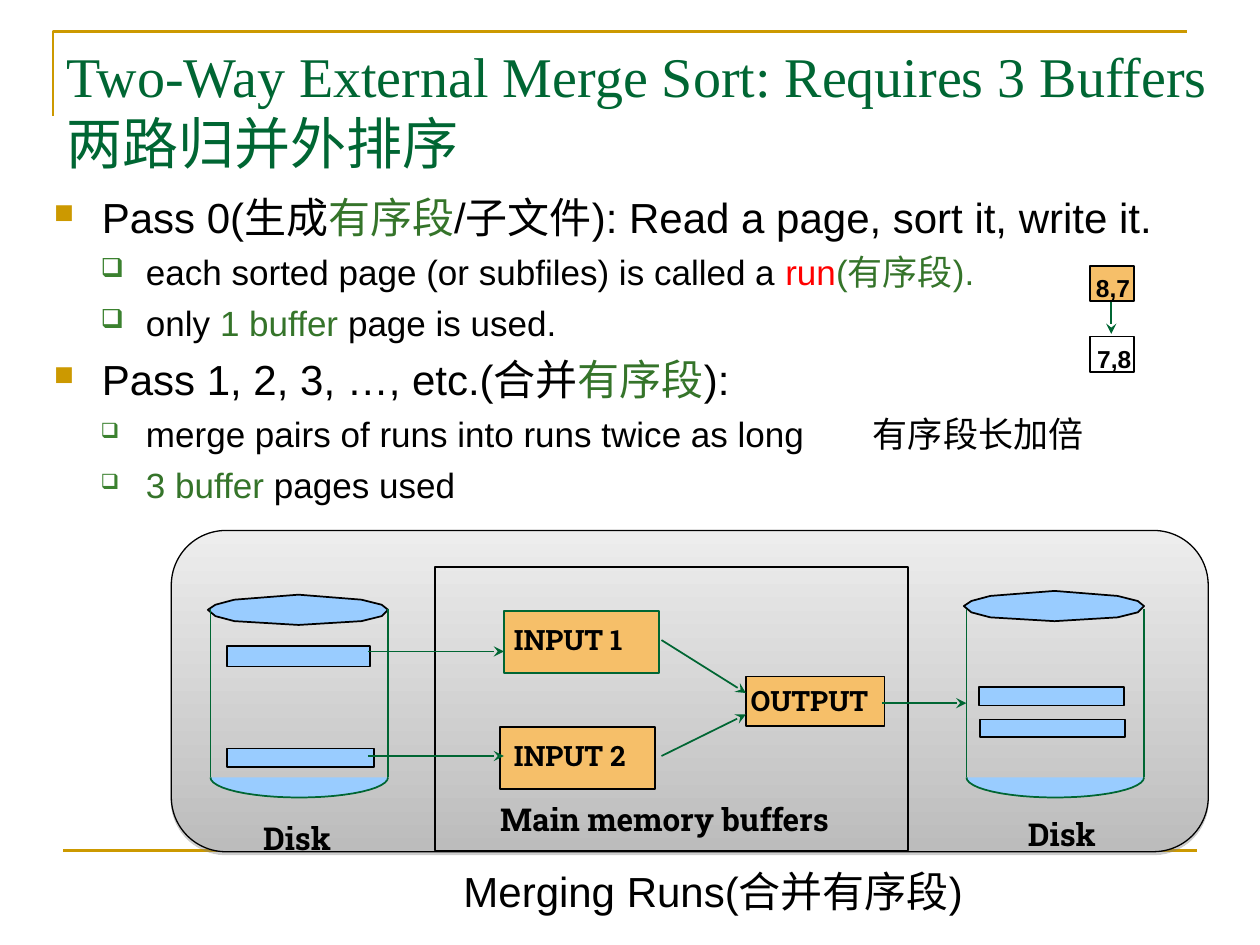
from math import cos, pi, sin

from lxml import etree
from pptx import Presentation
from pptx.dml.color import RGBColor
from pptx.enum.shapes import MSO_CONNECTOR, MSO_SHAPE
from pptx.enum.text import MSO_AUTO_SIZE
from pptx.oxml import parse_xml
from pptx.oxml.ns import nsdecls, qn
from pptx.util import Inches, Pt

BLACK = RGBColor(0x00, 0x00, 0x00)
RED = RGBColor(0xFF, 0x00, 0x00)
GOLD = RGBColor(0xCC, 0x99, 0x00)
DARK_GREEN = RGBColor(0x00, 0x66, 0x33)
GREEN = RGBColor(0x35, 0x74, 0x2A)
BULLET_GREEN = RGBColor(0x3B, 0x81, 0x2F)
BLUE = RGBColor(0x99, 0xCC, 0xFF)
ORANGE = RGBColor(0xF6, 0xBF, 0x69)
LIGHT_GRAY = RGBColor(0xED, 0xED, 0xED)
MID_GRAY = RGBColor(0xBC, 0xBC, 0xBC)

deck = Presentation()
deck.slide_width, deck.slide_height = Inches(10), Inches(7.5)
page = deck.slides.add_slide(deck.slide_layouts[6])


def add_outline(points, fill, color, width=1, close=False):
    """Draw a freeform through points in inches; a fill of None leaves it empty."""
    corners = [(Inches(x), Inches(y)) for x, y in points]
    builder = page.shapes.build_freeform(*corners[0])
    builder.add_line_segments(corners[1:], close=close)
    shape = builder.convert_to_shape()
    shape.shadow.inherit = False
    if fill is None:
        shape.fill.background()
    else:
        shape.fill.solid()
        shape.fill.fore_color.rgb = fill
    shape.line.color.rgb = color
    shape.line.width = Pt(width)


def add_line(start, end, color=DARK_GREEN, width=1, arrow=False):
    line = page.shapes.add_connector(
        MSO_CONNECTOR.STRAIGHT, *(Inches(value) for value in start + end))
    line.line.color.rgb = color
    line.line.width = Pt(width)
    properties = line._element.spPr
    if arrow:
        etree.SubElement(properties.find(qn("a:ln")), qn("a:tailEnd"), type="stealth")
    etree.SubElement(properties, qn("a:effectLst"))


# Frame rules and the gray panel
add_outline([(0.42, 0.92), (0.42, 0.25), (9.42, 0.25)], None, GOLD, 1.5)
add_line((0.5, 6.75), (9.5, 6.75), GOLD, 1.5)

panel = page.shapes.add_shape(MSO_SHAPE.ROUNDED_RECTANGLE, Inches(1.36), Inches(4.21),
                              Inches(8.23), Inches(2.55))
panel.adjustments[0] = 0.17
panel.fill.gradient()
panel.fill.gradient_angle = 270
for stop, color in zip(panel.fill.gradient_stops, (LIGHT_GRAY, MID_GRAY)):
    stop.color.rgb = color
panel.line.color.rgb = BLACK
panel.line.width = Pt(0.75)
panel._element.spPr.append(parse_xml(
    f'<a:effectLst {nsdecls("a")}><a:outerShdw dist="20320" dir="5400000">'
    '<a:srgbClr val="808080"><a:alpha val="38000"/></a:srgbClr>'
    '</a:outerShdw></a:effectLst>'))

# Bulleted text: level, bullet size in percent, colored spans
bullets = [
    (0, 65, [("Pass 0(生成", BLACK), ("有序段", GREEN),
             ("/子文件): Read a page, sort it, write it.", BLACK)]),
    (1, 75, [("each sorted page (or subfiles) is called a ", BLACK), ("run", RED),
             ("(有序段).", GREEN)]),
    (1, 75, [("only ", BLACK), ("1 buffer ", GREEN), ("page is used.", BLACK)]),
    (0, 65, [("Pass 1, 2, 3, …, etc.(合并", BLACK), ("有序段", GREEN), ("):", BLACK)]),
    (1, 60, [("merge pairs of runs into runs twice as long\t有序段长加倍", BLACK)]),
    (1, 60, [("3 buffer ", GREEN), ("pages used", BLACK)]),
]
# Per level: margin, indent, space before, text size, bullet, bullet color
levels = [(0.38, -0.38, 6, 24, "■", GOLD), (0.73, -0.36, 5, 20, "❑", BULLET_GREEN)]

body = page.shapes.add_textbox(Inches(0.33), Inches(1.47), Inches(9.58), Inches(5.51))
body.text_frame.word_wrap = True
for number, (level, bullet_size, spans) in enumerate(bullets):
    margin, indent, space, size, bullet, bullet_color = levels[level]
    para = body.text_frame.add_paragraph() if number else body.text_frame.paragraphs[0]
    para.level = level
    properties = para._p.get_or_add_pPr()
    properties.set("marL", str(Inches(margin)))
    properties.set("indent", str(Inches(indent)))
    bullet_fill = etree.SubElement(properties, qn("a:buClr"))
    etree.SubElement(bullet_fill, qn("a:srgbClr"), val=str(bullet_color))
    etree.SubElement(properties, qn("a:buSzPct"), val=str(bullet_size * 1000))
    etree.SubElement(properties, qn("a:buChar"), char=bullet)
    if "\t" in spans[0][0]:
        tabs = etree.SubElement(properties, qn("a:tabLst"))
        etree.SubElement(tabs, qn("a:tab"), pos=str(Inches(6.5)), algn="l")
    if number:
        para.space_before = Pt(space)
    for text, color in spans:
        span = para.add_run()
        span.text = text
        span.font.name = "Arial"
        span.font.size = Pt(size)
        span.font.color.rgb = color

# Disks: left edge and top of the lid
lid = [(1.43, 0.12), (1.38, 0.08), (1.22, 0.04), (0.72, 0), (0.21, 0.04), (0.06, 0.08),
       (0, 0.12), (0.06, 0.17), (0.21, 0.21), (0.72, 0.24), (1.22, 0.21), (1.38, 0.17)]
for left, lid_top in [(1.65, 4.72), (7.65, 4.69)]:
    add_outline([(left + x, lid_top + y) for x, y in lid], BLUE, BLACK, close=True)
    wall_left, wall_right = left + 0.02, left + 1.43
    middle, radius = (wall_left + wall_right) / 2, (wall_right - wall_left) / 2
    add_outline([(middle - radius * cos(pi * step / 24), 6.17 + 0.16 * sin(pi * step / 24))
                 for step in range(25)], BLUE, DARK_GREEN)
    for wall in (wall_left, wall_right):
        add_line((wall, 4.83), (wall, 6.17))

# Pages on disk, buffers and the memory frame
rectangles = [
    (1.8, 5.13, 1.14, 0.16, BLUE, BLACK),
    (1.8, 5.94, 1.17, 0.15, BLUE, BLACK),
    (7.77, 5.45, 1.15, 0.15, BLUE, BLACK),
    (7.78, 5.71, 1.15, 0.14, BLUE, BLACK),
    (4, 4.85, 1.23, 0.49, ORANGE, DARK_GREEN),
    (5.92, 5.37, 1.1, 0.39, ORANGE, BLACK),
    (3.97, 5.77, 1.23, 0.49, ORANGE, BLACK),
    (3.45, 4.5, 3.76, 2.25, None, BLACK),
    (8.65, 2.67, 0.35, 0.28, None, BLACK),
    (8.65, 2.11, 0.35, 0.28, ORANGE, BLACK),
]
for left, top, width, height, fill, color in rectangles:
    box = page.shapes.add_shape(MSO_SHAPE.RECTANGLE, Inches(left), Inches(top),
                                Inches(width), Inches(height))
    box.shadow.inherit = False
    if fill is None:
        box.fill.background()
    else:
        box.fill.solid()
        box.fill.fore_color.rgb = fill
    box.line.color.rgb = color
    box.line.width = Pt(1)

arrows = [
    ((2.92, 5.17), (4, 5.17)),
    ((2.92, 6), (4, 6)),
    ((5.25, 5.08), (5.92, 5.5)),
    ((5.25, 6), (5.92, 5.67)),
    ((7, 5.58), (7.67, 5.58)),
    ((8.82, 2.4), (8.82, 2.65)),
]
for start, end in arrows:
    add_line(start, end, arrow=True)

# Title and labels: text, position and size, font, text size, bold, color, wrap
labels = [
    ("Two-Way External Merge Sort: Requires 3 Buffers\v两路归并外排序",
     (0.43, 0.28, 9.49, 0.94), "Times New Roman", 32, False, DARK_GREEN, True),
    ("Main memory buffers", (3.87, 6.3, 2.99, 0.4), "Roboto Slab", 18, True, BLACK, True),
    ("INPUT 1", (3.98, 4.89, 1.14, 0.36), "Roboto Slab", 16, True, BLACK, False),
    ("INPUT 2", (3.98, 5.81, 1.14, 0.36), "Roboto Slab", 16, True, BLACK, False),
    ("OUTPUT", (5.86, 5.38, 1.16, 0.36), "Roboto Slab", 16, True, BLACK, False),
    ("Disk", (8.06, 6.42, 0.78, 0.4), "Roboto Slab", 18, True, BLACK, False),
    ("Disk", (1.99, 6.45, 0.78, 0.4), "Roboto Slab", 18, True, BLACK, False),
    ("Merging Runs(合并有序段)", (3.58, 6.82, 4.67, 0.5), "Arial", 24, False, BLACK, True),
    ("8,7", (8.6, 2.12, 0.47, 0.33), "Arial", 14, True, BLACK, False),
    ("7,8", (8.61, 2.68, 0.47, 0.33), "Arial", 14, True, BLACK, False),
]
for text, place, font, size, bold, color, wrap in labels:
    box = page.shapes.add_textbox(*(Inches(value) for value in place))
    box.text_frame.word_wrap = wrap
    box.text_frame.auto_size = MSO_AUTO_SIZE.NONE if size == 32 else MSO_AUTO_SIZE.SHAPE_TO_FIT_TEXT
    box.text_frame.text = text
    for span in box.text_frame.paragraphs[0].runs:
        span.font.name = font
        span.font.size = Pt(size)
        span.font.bold = bold
        span.font.color.rgb = color

deck.save("out.pptx")
